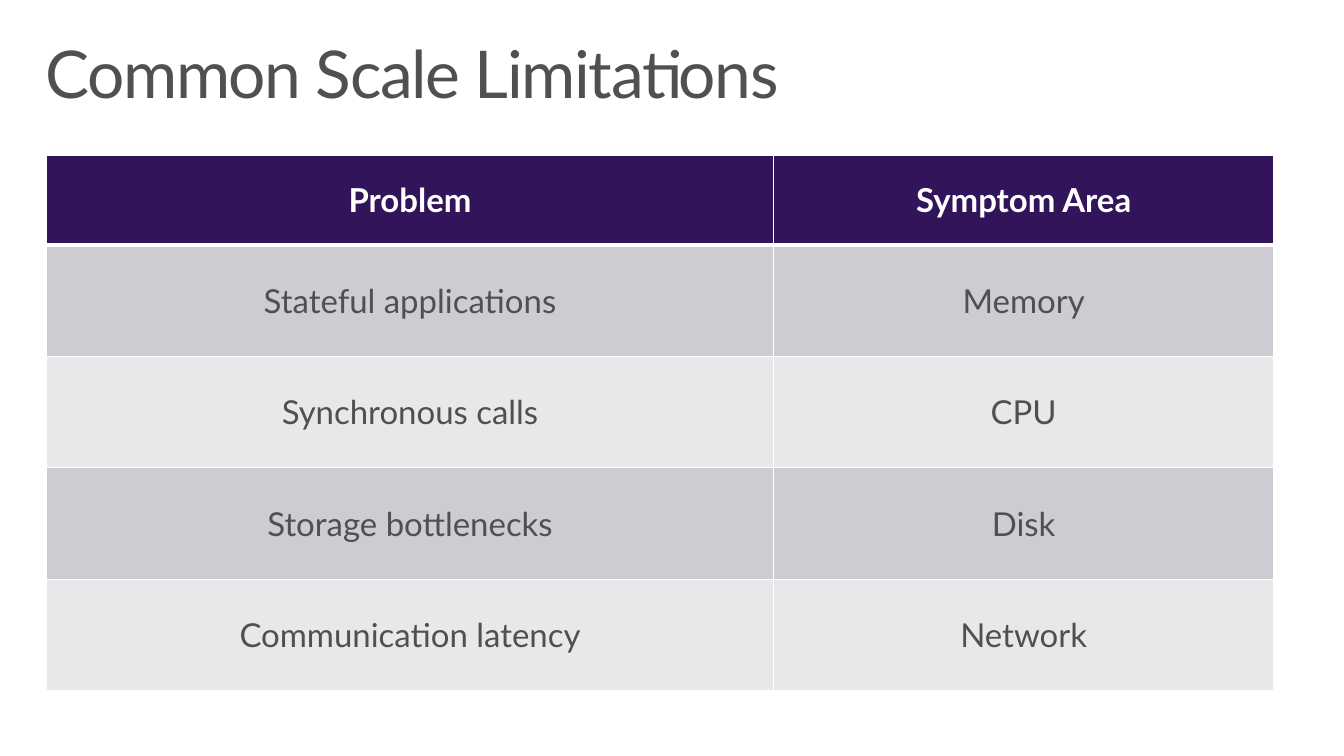
import dataclasses

import pptx
import pptx.dml.color
import pptx.enum.text
import pptx.oxml
import pptx.oxml.ns
import pptx.util

Pt = pptx.util.Pt
RGB = pptx.dml.color.RGBColor.from_string
Align = pptx.enum.text.PP_ALIGN
Anchor = pptx.enum.text.MSO_ANCHOR


@dataclasses.dataclass(frozen=True)
class Theme:
    font: str = "Lato"
    text: str = "505050"
    white: str = "FFFFFF"
    header: str = "32145A"
    bands: tuple[str, str] = ("CECCD2", "E8E7EA")
    title_size: int = 48
    table_size: int = 24
    rule: int = 1
    header_rule: int = 3


@dataclasses.dataclass(frozen=True)
class Limitation:
    problem: str
    symptom: str


THEME = Theme()
HEADING = Limitation("Problem", "Symptom Area")
LIMITATIONS = [
    Limitation("Stateful applications", "Memory"),
    Limitation("Synchronous calls", "CPU"),
    Limitation("Storage bottlenecks", "Disk"),
    Limitation("Communication latency", "Network"),
]
COLUMN_WIDTHS = (529.9, 364.3)
HEADER_HEIGHT, ROW_HEIGHT = 65.5, 81.2


def apply(target: object, values: dict[str, object]) -> None:
    for name, value in values.items():
        setattr(target, name, value)


def write(frame, text: str, size: int, color: str, bold: bool, align):
    para = frame.paragraphs[0]
    para.alignment = align
    span = para.add_run()
    span.text = text
    apply(span.font, {"name": THEME.font, "size": Pt(size), "bold": bold})
    span.font.color.rgb = RGB(color)
    return span


def add_border(cell, side: str, width: int) -> None:
    namespace = pptx.oxml.ns.nsdecls("a")
    cell._tc.get_or_add_tcPr().append(pptx.oxml.parse_xml(
        f'<a:ln{side} {namespace} w="{Pt(width)}"><a:solidFill>'
        f'<a:srgbClr val="{THEME.white}"/></a:solidFill></a:ln{side}>'))


def fill_cell(cell, text: str, row: int) -> None:
    is_header = row == 0
    # Borders come before the fill in the cell properties
    widths = {
        "L": THEME.rule,
        "R": THEME.rule,
        "T": THEME.header_rule if row == 1 else THEME.rule,
        "B": THEME.header_rule if is_header else THEME.rule,
    }
    for side, width in widths.items():
        add_border(cell, side, width)
    cell.fill.solid()
    cell.fill.fore_color.rgb = RGB(THEME.header if is_header else THEME.bands[(row - 1) % 2])
    cell.vertical_anchor = Anchor.MIDDLE
    write(cell.text_frame, text, THEME.table_size,
          THEME.white if is_header else THEME.text, is_header, Align.CENTER)


deck = pptx.Presentation()
apply(deck, {"slide_width": Pt(979.2), "slide_height": Pt(550.8)})
page = deck.slides.add_slide(deck.slide_layouts[5])

# Title
title = page.shapes.title
apply(title, {"left": Pt(21.6), "top": Pt(23), "width": Pt(936), "height": Pt(72)})
apply(title.text_frame, {
    "margin_left": Pt(11.5), "margin_right": Pt(11.5),
    "margin_top": Pt(7.2), "margin_bottom": Pt(7.2),
    "vertical_anchor": Anchor.TOP, "word_wrap": True,
    "auto_size": pptx.enum.text.MSO_AUTO_SIZE.NONE,
})
span = write(title.text_frame, "Common Scale Limitations",
             THEME.title_size, THEME.text, False, Align.LEFT)
span.font._element.set("spc", "-100")
title.text_frame.paragraphs[0].line_spacing = 0.9

# Table of problems and where they show
rows = [HEADING, *LIMITATIONS]
heights = [HEADER_HEIGHT] + [ROW_HEIGHT] * len(LIMITATIONS)
table = page.shapes.add_table(
    len(rows), len(COLUMN_WIDTHS), Pt(33.8), Pt(113),
    Pt(sum(COLUMN_WIDTHS)), Pt(sum(heights))).table
for column, width in zip(table.columns, COLUMN_WIDTHS):
    column.width = Pt(width)
for index, (limitation, height) in enumerate(zip(rows, heights)):
    table.rows[index].height = Pt(height)
    for cell, text in zip(table.rows[index].cells, dataclasses.astuple(limitation)):
        fill_cell(cell, text, index)

deck.save("out.pptx")
